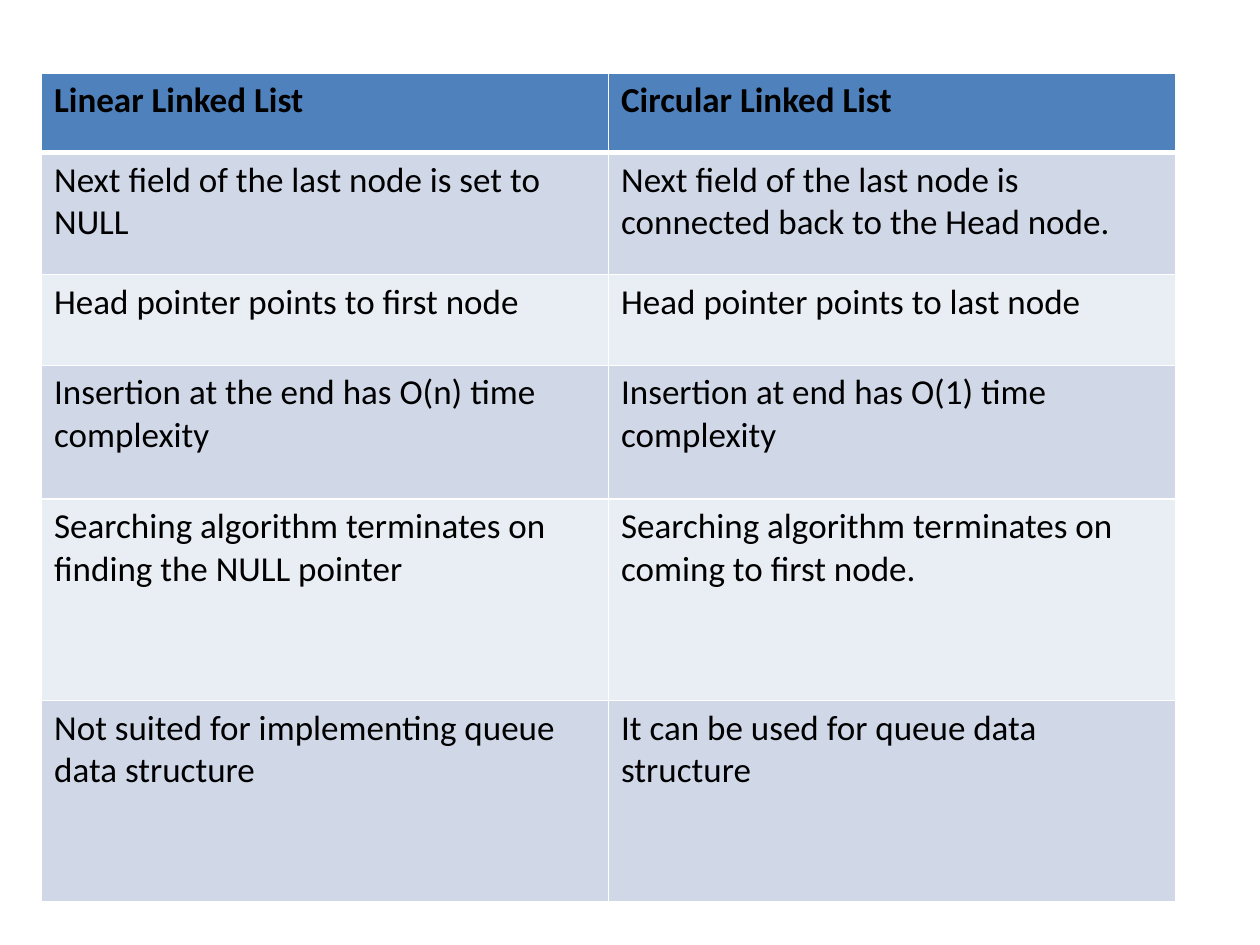
from pptx import Presentation
from pptx.dml.color import RGBColor
from pptx.oxml.ns import qn
from pptx.util import Inches, Pt
from lxml.etree import SubElement


def color(value):
    return RGBColor.from_string(value)


def add_border(cell, side, points):
    line = SubElement(cell._tc.get_or_add_tcPr(), qn(f"a:ln{side}"), w=str(Pt(points)))
    fill = SubElement(line, qn("a:solidFill"))
    SubElement(fill, qn("a:srgbClr"), val="FFFFFF")


HEADER_FILL = "4F81BD"
BAND_FILLS = ["E9EDF4", "D0D8E8"]
ROWS = [
    (0.63, "Linear Linked List", "Circular Linked List"),
    (0.97, "Next field of the last node is set to NULL",
     "Next field of the last node is connected back to the Head node."),
    (0.72, "Head pointer points to first node", "Head pointer points to last node"),
    (1.06, "Insertion at the end has O(n) time complexity",
     "Insertion at end has O(1) time  complexity"),
    (1.6, "Searching algorithm terminates on finding the NULL pointer",
     "Searching algorithm terminates on coming to first node."),
    (1.6, "Not suited for implementing queue data structure",
     "It can be used for queue data structure"),
]

# Page
deck = Presentation()
deck.slide_width, deck.slide_height = Inches(10), Inches(7.5)
page = deck.slides.add_slide(deck.slide_layouts[6])

# Comparison table
height = sum(row[0] for row in ROWS)
table = page.shapes.add_table(len(ROWS), 2, Inches(0.33), Inches(0.58),
                              Inches(9), Inches(height)).table
for column in table.columns:
    column.width = Inches(4.5)

for row_index, (row_height, *texts) in enumerate(ROWS):
    table.rows[row_index].height = Inches(row_height)
    is_header = row_index == 0
    for column_index, text in enumerate(texts):
        cell = table.cell(row_index, column_index)

        # Borders, with a thick rule under the header
        for side in "LRTB":
            under_header = (row_index, side) in [(0, "B"), (1, "T")]
            add_border(cell, side, 3 if under_header else 1)

        # Banded fill
        cell.fill.solid()
        cell.fill.fore_color.rgb = color(HEADER_FILL if is_header else BAND_FILLS[row_index % 2])

        # Text
        span = cell.text_frame.paragraphs[0].add_run()
        span.text = text
        span.font.name = "Calibri"
        span.font.size = Pt(20)
        span.font.bold = is_header
        span.font.color.rgb = color("000000")

deck.save("out.pptx")
